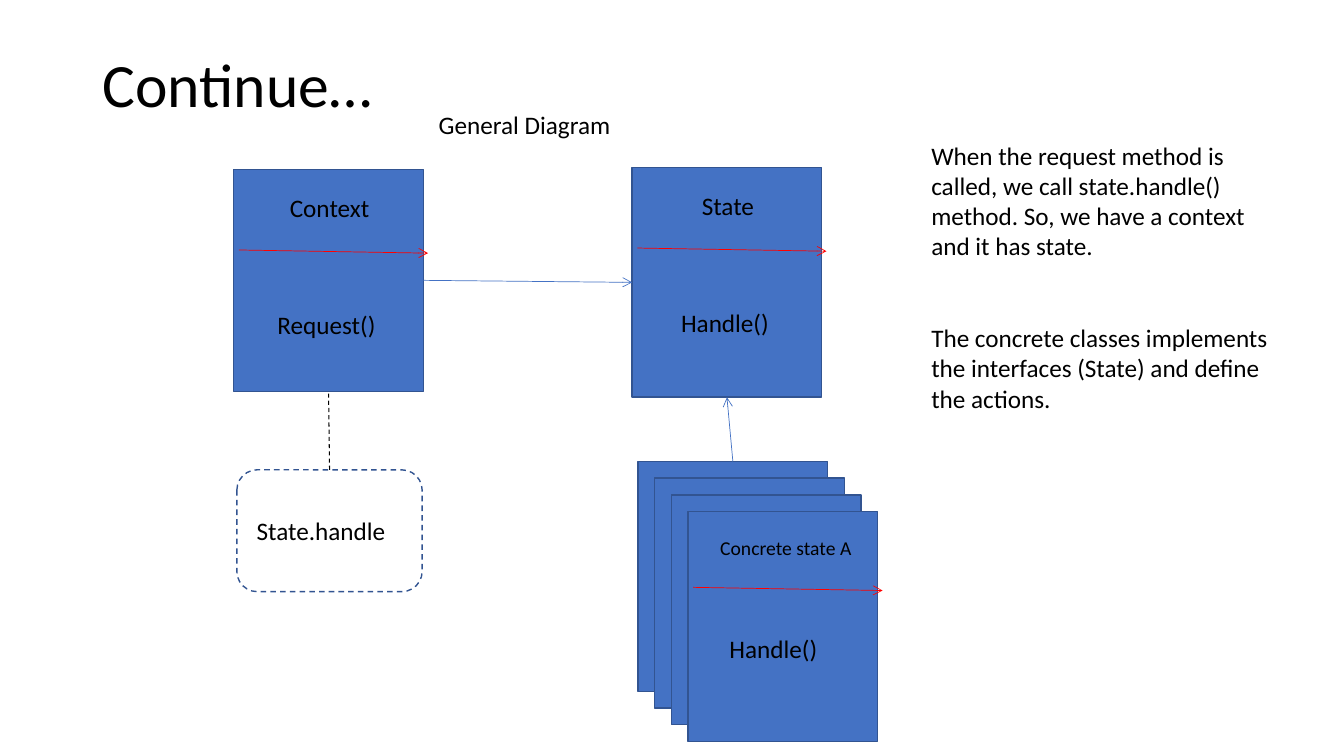
from pptx import Presentation
from pptx.dml.color import RGBColor
from pptx.enum.dml import MSO_LINE_DASH_STYLE as Dash
from pptx.enum.shapes import MSO_CONNECTOR as Link, MSO_SHAPE as Shape
from pptx.enum.text import MSO_ANCHOR as Anchor, PP_ALIGN as Align
from pptx.oxml.ns import qn
from pptx.util import Cm, Pt
from lxml import etree

FONT = "Calibri"
HUES = {"fill": "4472C4", "edge": "325491", "rule": "FF0000", "ink": "000000"}
BOX_W, BOX_H = 4.78, 5.79


def hue(name):
    return RGBColor.from_string(HUES[name])


def write(frame, texts, size=18, align=Align.LEFT, gap=0):
    """Fill a text frame with one run per paragraph."""
    frame.word_wrap = True
    for i, text in enumerate(texts):
        para = frame.paragraphs[0] if i == 0 else frame.add_paragraph()
        para.alignment = align
        if i:
            para.space_before = Pt(gap)
        run = para.add_run()
        run.text = text
        run.font.name, run.font.size = FONT, Pt(size)
        run.font.color.rgb = hue("ink")


def label(slide, box, *texts, **style):
    area = slide.shapes.add_textbox(*map(Cm, box))
    write(area.text_frame, texts, **style)
    return area


def block(slide, kind, box, fill=True):
    form = slide.shapes.add_shape(kind, *map(Cm, box))
    form.shadow.inherit = False
    if fill:
        form.fill.solid()
        form.fill.fore_color.rgb = hue("fill")
    else:
        form.fill.background()
    form.line.color.rgb = hue("edge")
    form.line.width = Pt(1)
    return form


def line(slide, ends, color, width=0.5, arrow=True):
    wire = slide.shapes.add_connector(Link.STRAIGHT, *map(Cm, ends))
    wire.line.color.rgb = hue(color)
    wire.line.width = Pt(width)
    if arrow:
        etree.SubElement(wire.line._get_or_add_ln(), qn("a:tailEnd"), type="arrow")
    etree.SubElement(wire._element.spPr, qn("a:effectLst"))
    return wire


def join(slide, start, out, stop, into, color, **style):
    wire = line(slide, (0, 0, 0, 0), color, **style)
    wire.begin_connect(start, out)
    wire.end_connect(stop, into)
    return wire


def card(slide, box, name, call):
    """Class box: name, red rule and method."""
    x, y = box[:2]
    form = block(slide, Shape.RECTANGLE, box)
    line(slide, (x + 0.13, y + 2.03, x + 4.9, y + 2.11), "rule")
    label(slide, (x + 0.6, y + 0.46, 3.63, 1.02), name, align=Align.CENTER)
    label(slide, (x + 0.6, y + 3.4, 3.48, 1.02), call, align=Align.CENTER)
    return form


def stack(slide, box, name, call, count=4, step=0.42):
    """Cascade of concrete classes, the front one labelled."""
    x, y, w, h = box
    forms = [block(slide, Shape.RECTANGLE, (x + i * step, y + i * step, w, h))
             for i in range(count)]
    x, y = x + (count - 1) * step, y + (count - 1) * step
    line(slide, (x + 0.13, y + 1.91, x + 4.9, y + 1.99), "rule")
    label(slide, (x + 0.56, y + 0.48, 4.19, 0.86), name, size=14)
    label(slide, (x + 0.41, y + 2.95, 3.48, 1.02), call, align=Align.CENTER)
    return forms[0]


def note(slide, box, text):
    """Dashed note, its text set slightly left of centre."""
    form = block(slide, Shape.ROUNDED_RECTANGLE, box, fill=False)
    form.line.dash_style = Dash.DASH
    frame = form.text_frame
    frame.vertical_anchor = Anchor.MIDDLE
    frame.margin_right = Cm(0.68)
    write(frame, [text], align=Align.CENTER)
    return form


def heading(slide, box):
    title = label(slide, box, "Continue…", size=44)
    title.text_frame.vertical_anchor = Anchor.MIDDLE
    title.text_frame.paragraphs[0].line_spacing = 0.9


def diagram(slide, box):
    x, y = box[:2]
    label(slide, (x + 0.61, y, 13.44, 1.02), "General Diagram", align=Align.CENTER)

    # Classes
    context = card(slide, (x, y + 1.65, BOX_W, 5.59), "Context", "Request()")
    state = card(slide, (x + 10.04, y + 1.6, BOX_W, BOX_H), "State", "Handle()")
    back = stack(slide, (x + 10.19, y + 9.01, BOX_W, BOX_H),
                 "Concrete state A", "Handle()")
    hint = note(slide, (x + 0.08, y + 9.22, 4.67, 3.07), "State.handle")

    # Relations
    join(slide, context, 3, state, 1, "fill")
    join(slide, back, 0, state, 2, "fill")
    tie = join(slide, hint, 0, context, 2, "ink", width=0.75, arrow=False)
    tie.line.dash_style = Dash.DASH


def remarks(slide, box):
    label(slide, box,
          "When the request method is called, we call state.handle() method. "
          "So, we have a context and it has state.",
          "The concrete classes implements the interfaces (State) "
          "and define the actions.", gap=44)


def main():
    deck = Presentation()
    deck.slide_width, deck.slide_height = Cm(33.87), Cm(19.05)
    slide = deck.slides.add_slide(deck.slide_layouts[6])
    heading(slide, (2.33, 1.01, 28.7, 2.4))
    diagram(slide, (5.89, 2.62, 16.5, 16.1))
    remarks(slide, (23.22, 3.4, 9.42, 7.19))
    deck.save("out.pptx")


if __name__ == "__main__":
    main()
